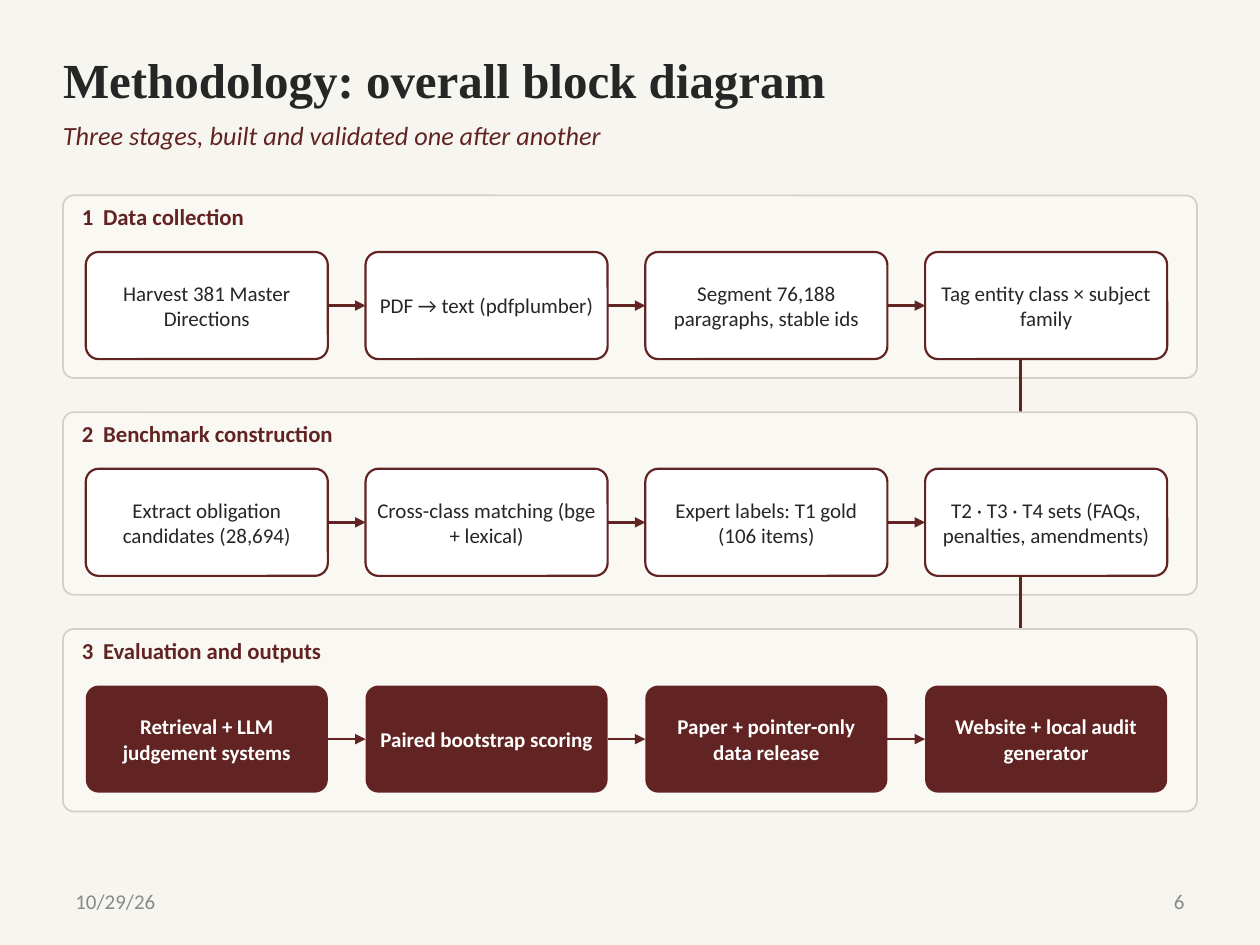
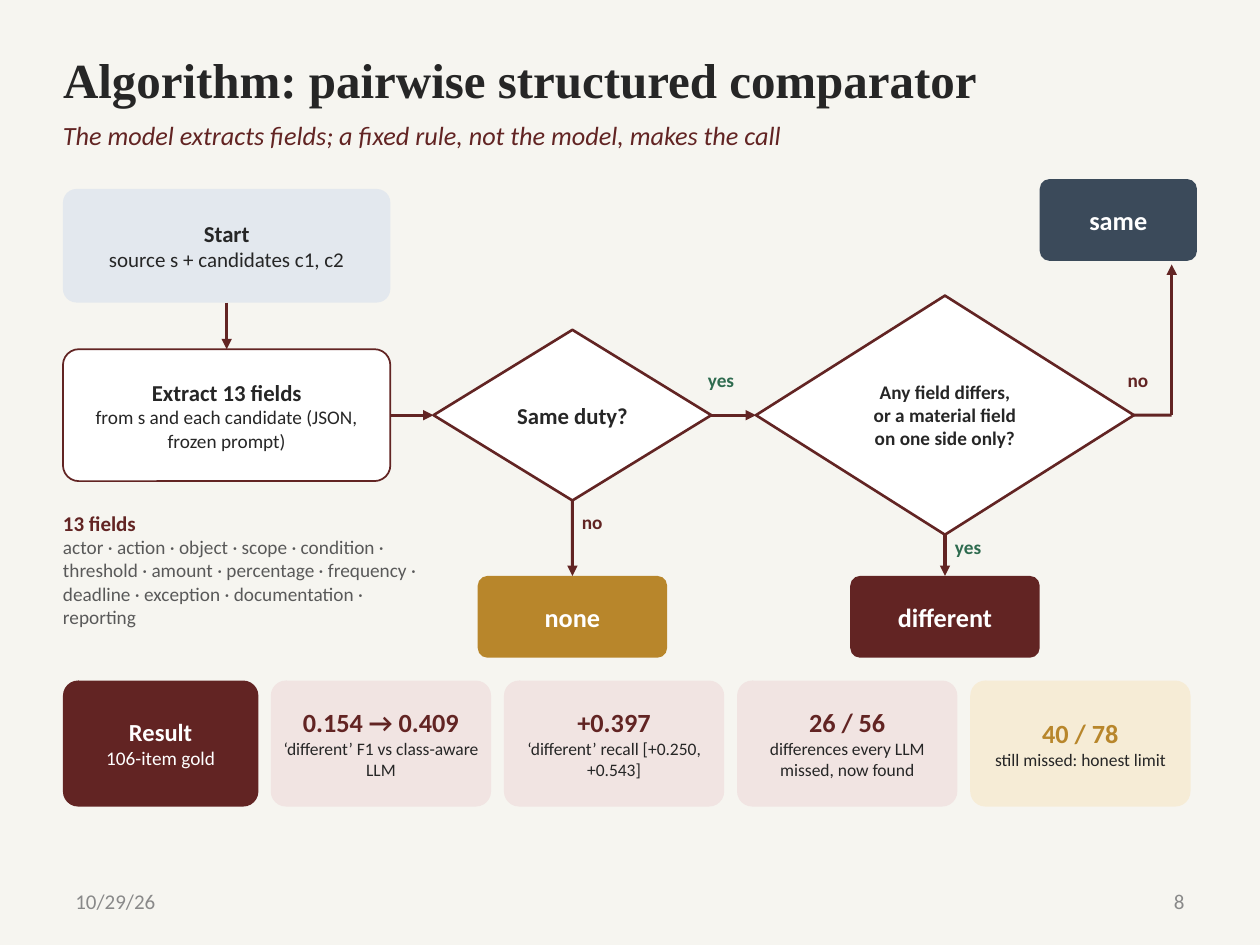
from lxml import etree
from pptx import Presentation
from pptx.dml.color import RGBColor
from pptx.enum.shapes import MSO_CONNECTOR, MSO_SHAPE
from pptx.enum.text import MSO_ANCHOR, MSO_AUTO_SIZE, PP_ALIGN
from pptx.oxml.ns import qn
from pptx.util import Cm, Pt

PAPER = RGBColor(0xF6, 0xF5, 0xF0)
PANEL = RGBColor(0xFA, 0xF8, 0xF3)
PANEL_EDGE = RGBColor(0xD6, 0xD0, 0xC4)
MAROON = RGBColor(0x62, 0x24, 0x23)
INK = RGBColor(0x26, 0x26, 0x26)
GREY = RGBColor(0x59, 0x59, 0x59)
FOOTER_GREY = RGBColor(0x89, 0x89, 0x89)
WHITE = RGBColor(0xFF, 0xFF, 0xFF)
GREEN = RGBColor(0x2E, 0x6B, 0x4F)
OCHRE = RGBColor(0xB8, 0x86, 0x2B)
SLATE = RGBColor(0x3B, 0x4A, 0x5A)
PALE_BLUE = RGBColor(0xE3, 0xE8, 0xEE)
PALE_ROSE = RGBColor(0xF1, 0xE4, 0xE2)
PALE_GOLD = RGBColor(0xF6, 0xEC, 0xD6)

TITLE = {"name": "Times New Roman", "size": Pt(28), "bold": True}
SUBTITLE = {"size": Pt(15), "italic": True}
VERDICT = {"size": Pt(15), "bold": True}
RESULT = {"size": Pt(14), "bold": True}
HEADING = {"size": Pt(13), "bold": True}
STRONG = {"size": Pt(12), "bold": True}
BODY = {"size": Pt(12)}
SMALL_BOLD = {"size": Pt(11), "bold": True}
SMALL = {"size": Pt(11)}
TINY = {"size": Pt(10)}

ROUND = MSO_SHAPE.ROUNDED_RECTANGLE
DIAMOND = MSO_SHAPE.DIAMOND
LEFT, RIGHT, CENTER = PP_ALIGN.LEFT, PP_ALIGN.RIGHT, PP_ALIGN.CENTER
MIDDLE, TOP = MSO_ANCHOR.MIDDLE, MSO_ANCHOR.TOP
TOP_SIDE, LEFT_SIDE, BOTTOM_SIDE, RIGHT_SIDE = range(4)


def add_box(page, at, paras, kind=None, fill=None, line=None, corner=0.12,
            align=CENTER, anchor=MIDDLE, margins=(0.15, 0.08)):
    lengths = [Cm(value) for value in at]
    if kind == "title":
        box = page.shapes.title
        box.left, box.top, box.width, box.height = lengths
    elif kind is None:
        box = page.shapes.add_textbox(*lengths)
    else:
        box = page.shapes.add_shape(kind, *lengths)
        box.shadow.inherit = False
        box.fill.solid()
        box.fill.fore_color.rgb = fill
        if kind == ROUND:
            box.adjustments[0] = corner
        if line:
            box.line.color.rgb, box.line.width = line[0], Pt(line[1])
        else:
            box.line.fill.background()
    frame = box.text_frame
    across, down = [Cm(value) for value in margins]
    settings = {"word_wrap": True, "auto_size": MSO_AUTO_SIZE.NONE, "vertical_anchor": anchor,
                "margin_left": across, "margin_right": across,
                "margin_top": down, "margin_bottom": down}
    for key, value in settings.items():
        setattr(frame, key, value)
    for index, (text, colour, style) in enumerate(paras):
        para = frame.add_paragraph() if index else frame.paragraphs[0]
        para.alignment = align
        if "\t" in text:
            tabs = etree.SubElement(para._p.get_or_add_pPr(), qn("a:tabLst"))
            etree.SubElement(tabs, qn("a:tab"), pos=str(Cm(0.43)), algn="l")
        span = para.add_run()
        span.text = text
        span.font.color.rgb = colour
        for key, value in {"name": "Calibri", "bold": False, **style}.items():
            setattr(span.font, key, value)
    return box


def add_arrow(page, begin, end, width, head=True):
    points = [Cm(value) if isinstance(value, (int, float)) else 0 for value in begin + end]
    arrow = page.shapes.add_connector(MSO_CONNECTOR.STRAIGHT, *points)
    if not isinstance(begin[0], (int, float)):
        arrow.begin_connect(*begin)
    if not isinstance(end[0], (int, float)):
        arrow.end_connect(*end)
    arrow.line.color.rgb = MAROON
    arrow.line.width = Pt(width)
    if head:
        etree.SubElement(arrow.line._get_or_add_ln(), qn("a:tailEnd"), type="triangle")
    etree.SubElement(arrow._element.spPr, qn("a:effectLst"))


deck = Presentation()
deck.slide_width, deck.slide_height = Cm(25.4), Cm(19.05)
backdrop = deck.slide_master.background.fill
backdrop.solid()
backdrop.fore_color.rgb = PAPER

headings = [
    ("Methodology: overall block diagram",
     "Three stages, built and validated one after another", "6"),
    ("Algorithm: pairwise structured comparator",
     "The model extracts fields; a fixed rule, not the model, makes the call", "8"),
]
pages = []
for title, subtitle, number in headings:
    page = deck.slides.add_slide(deck.slide_layouts[5])
    add_box(page, (1.27, 0.81, 22.86, 1.57), [(title, INK, TITLE)], "title",
            align=LEFT, margins=(0, 0.13))
    add_box(page, (1.27, 2.41, 22.86, 1.07), [(subtitle, MAROON, SUBTITLE)],
            align=LEFT, anchor=TOP, margins=(0, 0))
    for left, text, align in [(1.27, "10/29/26", LEFT), (18.21, number, RIGHT)]:
        add_box(page, (left, 17.65, 5.92, 1.02), [(text, FOOTER_GREY, BODY)],
                align=align, margins=(0.25, 0.13))
    pages.append(page)
diagram, algorithm = pages

stages = [
    ("1\tData collection",
     ["Harvest 381 Master Directions", "PDF → text (pdfplumber)",
      "Segment 76,188 paragraphs, stable ids", "Tag entity class × subject family"]),
    ("2\tBenchmark construction",
     ["Extract obligation candidates (28,694)", "Cross-class matching (bge + lexical)",
      "Expert labels: T1 gold (106 items)", "T2 · T3 · T4 sets (FAQs, penalties, amendments)"]),
    ("3\tEvaluation and outputs",
     ["Retrieval + LLM judgement systems", "Paired bootstrap scoring",
      "Paper + pointer-only data release", "Website + local audit generator"]),
]
for row, (label, steps) in enumerate(stages):
    top = 3.94 + row * 4.37
    last = row == len(stages) - 1
    add_box(diagram, (1.27, top, 22.86, 3.68), [], ROUND, PANEL, (PANEL_EDGE, 1), 0.06)
    add_box(diagram, (1.65, top + 0.15, 10.16, 0.89), [(label, MAROON, HEADING)],
            align=LEFT, anchor=TOP, margins=(0, 0))
    fill, line = (MAROON, None) if last else (WHITE, (MAROON, 1.25))
    colour, style = (WHITE, STRONG) if last else (INK, BODY)
    previous = None
    for column, step in enumerate(steps):
        box = add_box(diagram, (1.73 + column * 5.64, top + 1.14, 4.88, 2.16),
                      [(step, colour, style)], ROUND, fill, line)
        if previous:
            add_arrow(diagram, (previous, RIGHT_SIDE), (box, LEFT_SIDE), 1.5)
        previous = box
    if not last:
        add_arrow(diagram, (20.57, top + 3.3), (20.57, top + 5.51), 1.5)

start = add_box(algorithm, (1.27, 3.81, 6.6, 2.29),
                [("Start", INK, HEADING), ("source s + candidates c1, c2", INK, BODY)],
                ROUND, PALE_BLUE)
extract = add_box(algorithm, (1.27, 7.04, 6.6, 2.66),
                  [("Extract 13 fields", INK, HEADING),
                   ("from s and each candidate (JSON, frozen prompt)", INK, SMALL)],
                  ROUND, WHITE, (MAROON, 1))
duty = add_box(algorithm, (8.74, 6.65, 5.6, 3.44), [("Same duty?", INK, HEADING)],
               DIAMOND, WHITE, (MAROON, 1.5))
differs = add_box(algorithm, (15.24, 5.96, 7.62, 4.82),
                  [(text, INK, SMALL_BOLD) for text in
                   ("Any field differs,", "or a material field", "on one side only?")],
                  DIAMOND, WHITE, (MAROON, 1.5))
verdicts = [
    ("none", 9.63, 11.61, 3.82, OCHRE),
    ("different", 17.14, 11.61, 3.82, MAROON),
    ("same", 20.96, 3.61, 3.17, SLATE),
]
none, different, same = [
    add_box(algorithm, (left, top, width, 1.65), [(text, WHITE, VERDICT)], ROUND, fill)
    for text, left, top, width, fill in verdicts]

for begin, end in [
    ((start, BOTTOM_SIDE), (extract, TOP_SIDE)),
    ((extract, RIGHT_SIDE), (duty, LEFT_SIDE)),
    ((duty, BOTTOM_SIDE), (none, TOP_SIDE)),
    ((duty, RIGHT_SIDE), (differs, LEFT_SIDE)),
    ((differs, BOTTOM_SIDE), (different, TOP_SIDE)),
    ((23.62, 8.37), (23.62, 5.33)),
]:
    add_arrow(algorithm, begin, end, 1.75)
add_arrow(algorithm, (differs, RIGHT_SIDE), (23.62, 8.37), 1.75, head=False)

for text, left, top, colour in [
    ("no", 11.73, 10.29, MAROON), ("yes", 14.27, 7.42, GREEN),
    ("yes", 19.25, 10.8, GREEN), ("no", 22.73, 7.42, MAROON),
]:
    add_box(algorithm, (left, top, 1.14, 0.76), [(text, colour, SMALL_BOLD)],
            align=LEFT, anchor=TOP, margins=(0, 0))

field_names = ("actor · action · object · scope · condition · threshold · amount · percentage · "
               "frequency · deadline · exception · documentation · reporting")
add_box(algorithm, (1.27, 10.29, 7.24, 3.3),
        [("13 fields", MAROON, STRONG), (field_names, GREY, SMALL)],
        align=LEFT, anchor=TOP, margins=(0, 0))

add_box(algorithm, (1.27, 13.72, 3.94, 2.54),
        [("Result", WHITE, RESULT), ("106-item gold", WHITE, SMALL)], ROUND, MAROON)
findings = [
    ("0.154 → 0.409", "‘different’ F1 vs class-aware LLM", MAROON, PALE_ROSE),
    ("+0.397", "‘different’ recall [+0.250, +0.543]", MAROON, PALE_ROSE),
    ("26 / 56", "differences every LLM missed, now found", MAROON, PALE_ROSE),
    ("40 / 78", "still missed: honest limit", OCHRE, PALE_GOLD),
]
for column, (figure, caption, colour, fill) in enumerate(findings):
    add_box(algorithm, (5.46 + column * 4.7, 13.72, 4.44, 2.54),
            [(figure, colour, VERDICT), (caption, INK, TINY)], ROUND, fill)

deck.save("out.pptx")
